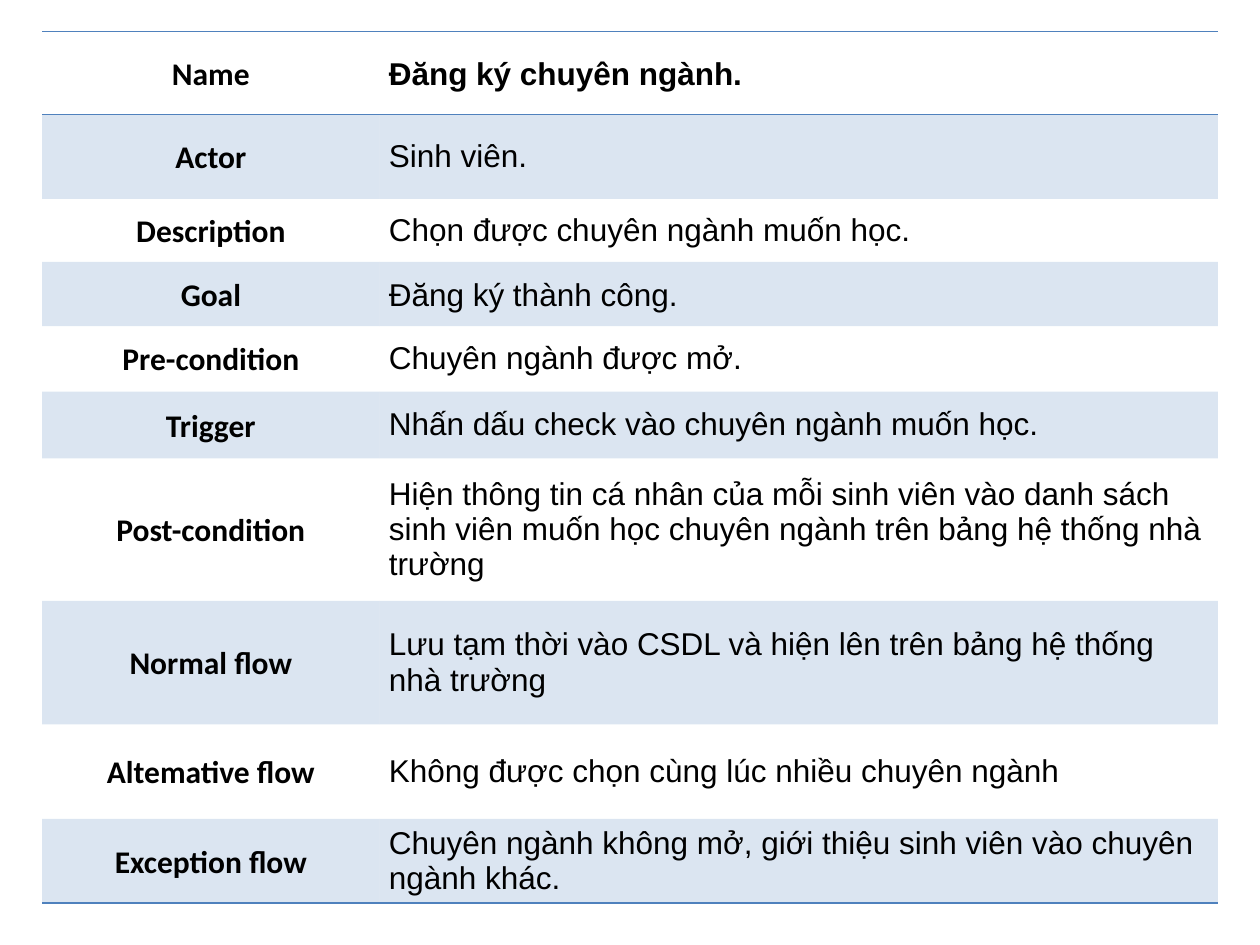
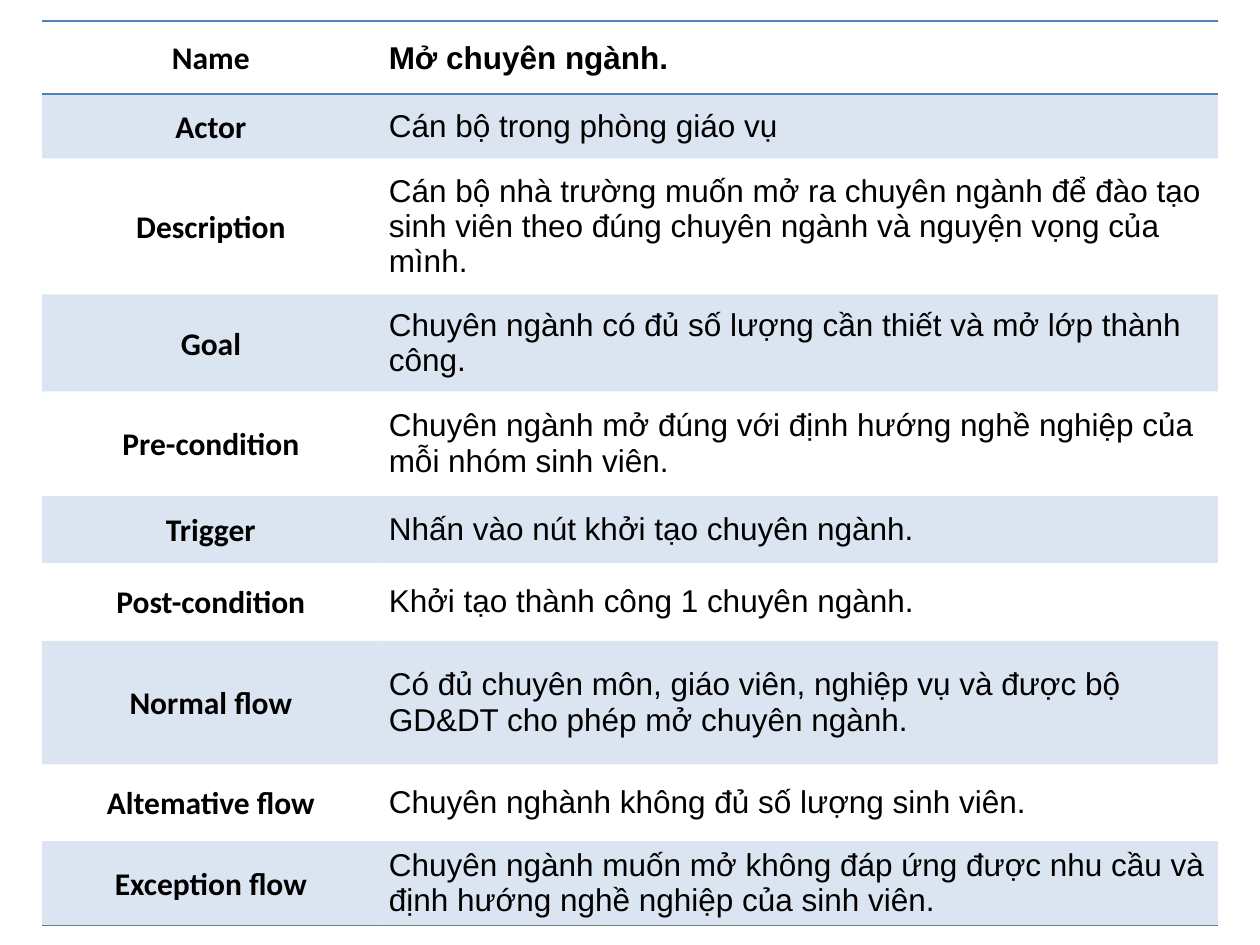
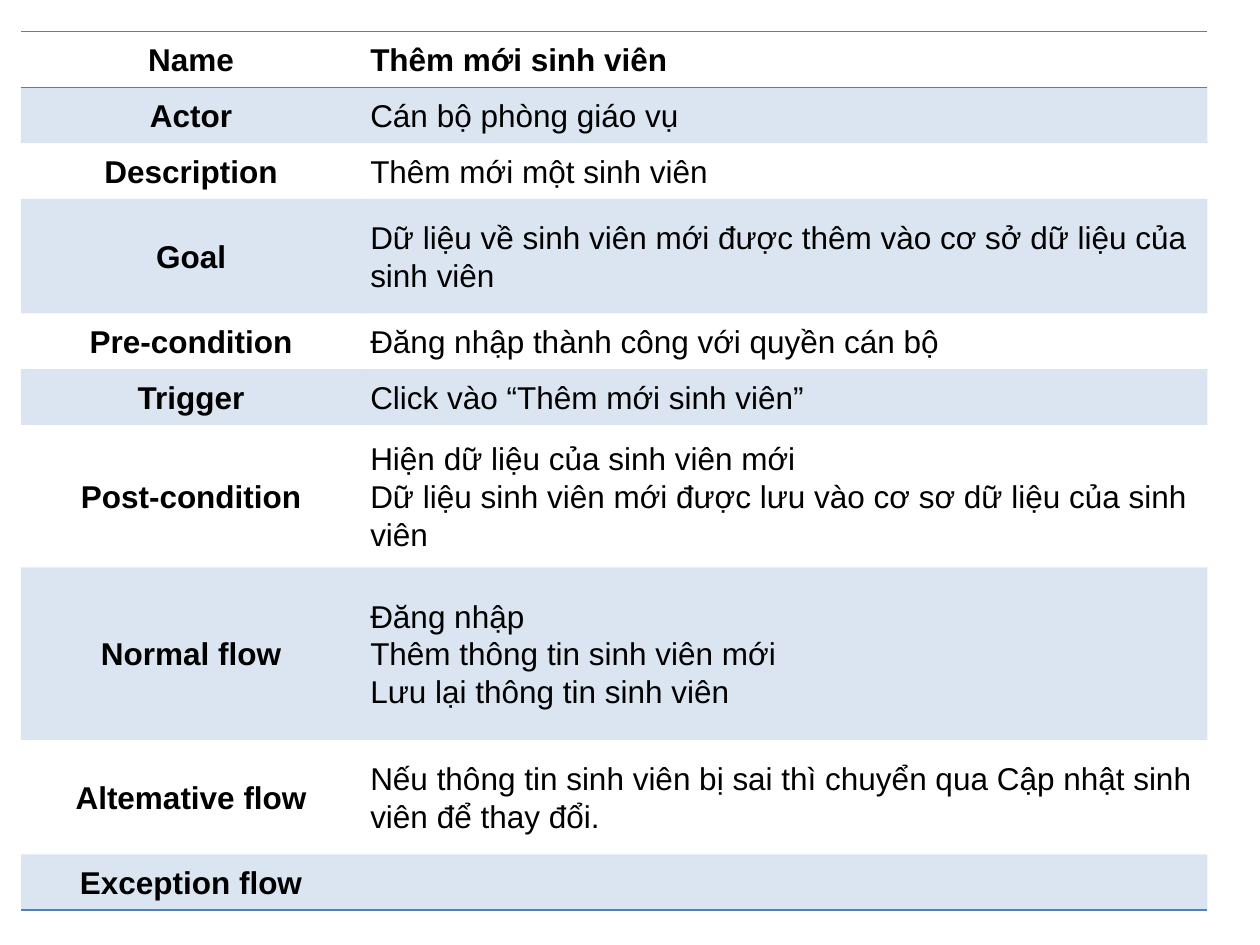
from lxml import etree
from pptx import Presentation
from pptx.dml.color import RGBColor
from pptx.enum import text
from pptx.oxml import ns
from pptx.util import Pt

COLOURS = {"accent": "4F81BD", "ink": "000000"}
PLAIN_TABLE = "{2D5ABB26-0587-4C30-8999-92F81FD0307C}"
LABELS = ["Name", "Actor", "Description", "Goal", "Pre-condition", "Trigger",
          "Post-condition", "Normal flow", "Altemative flow", "Exception flow"]
ALL_ROWS = set(range(len(LABELS)))

USE_CASES = [
    {
        "corner": (24, 18), "columns": (193, 479), "label_font": "Calibri", "loose_rows": {0, 3},
        "heights": [47.5, 48.2, 36, 36.7, 37.4, 38.2, 81.4, 70.6, 54, 48.2],
        "details": [
            "Đăng ký chuyên ngành.",
            "Sinh viên.",
            "Chọn được chuyên ngành muốn học.",
            "Đăng ký thành công.",
            "Chuyên ngành được mở.",
            "Nhấn dấu check vào chuyên ngành muốn học.",
            "Hiện thông tin cá nhân của mỗi sinh viên vào danh sách sinh viên muốn học "
            "chuyên ngành trên bảng hệ thống nhà trường",
            "Lưu tạm thời vào CSDL và hiện lên trên bảng hệ thống nhà trường",
            "Không được chọn cùng lúc nhiều chuyên ngành",
            "Chuyên ngành không mở, giới thiệu sinh viên vào chuyên ngành khác.",
        ],
    },
    {
        "corner": (24, 12), "columns": (193, 479), "label_font": "Calibri", "loose_rows": {0},
        "heights": [41.8, 36.7, 77.8, 55.4, 59.8, 38.2, 44.6, 70.6, 43.9, 48.2],
        "details": [
            "Mở chuyên ngành.",
            "Cán bộ trong phòng giáo vụ",
            "Cán bộ nhà trường muốn mở ra chuyên ngành để đào tạo sinh viên theo đúng "
            "chuyên ngành và nguyện vọng của mình.",
            "Chuyên ngành có đủ số lượng cần thiết và mở lớp thành công.",
            "Chuyên ngành mở đúng với định hướng nghề nghiệp của mỗi nhóm sinh viên.",
            "Nhấn vào nút khởi tạo chuyên ngành.",
            "Khởi tạo thành công 1 chuyên ngành.",
            "Có đủ chuyên môn, giáo viên, nghiệp vụ và được bộ GD&DT cho phép mở "
            "chuyên ngành.",
            "Chuyên nghành không đủ số lượng sinh viên.",
            "Chuyên ngành muốn mở không đáp ứng được nhu cầu và định hướng nghề nghiệp "
            "của sinh viên.",
        ],
    },
    {
        "corner": (12, 18), "columns": (194.4, 483.6), "label_font": "Arial", "loose_rows": ALL_ROWS,
        "heights": [31.9, 31.9, 31.9, 65.4, 31.9, 31.9, 81.4, 98.6, 65.4, 31.9],
        "details": [
            "Thêm mới sinh viên",
            "Cán bộ phòng giáo vụ",
            "Thêm mới một sinh viên",
            "Dữ liệu về sinh viên mới được thêm vào cơ sở dữ liệu của sinh viên",
            "Đăng nhập thành công với quyền cán bộ",
            "Click vào “Thêm mới sinh viên”",
            "Hiện dữ liệu của sinh viên mới\n"
            "Dữ liệu sinh viên mới được lưu vào cơ sơ dữ liệu của sinh viên",
            "Đăng nhập\nThêm thông tin sinh viên mới\nLưu lại thông tin sinh viên",
            "Nếu thông tin sinh viên bị sai thì chuyển qua Cập nhật sinh viên để thay đổi.",
            "",
        ],
    },
]


class UseCaseDeck:
    detail_font = "Arial"
    text_size = Pt(18)
    loose_spacing = 1.07
    side_margin = Pt(5.2)
    rule_width = Pt(1)
    band_opacity = 20000

    def __init__(self):
        self.deck = Presentation()
        self.deck.slide_width, self.deck.slide_height = Pt(720), Pt(540)
        self.slide = None

    def new_slide(self):
        self.slide = self.deck.slides.add_slide(self.deck.slide_layouts[6])

    def rule(self, cell, side):
        line = etree.SubElement(cell._tc.get_or_add_tcPr(), ns.qn(f"a:ln{side}"),
                                w=str(self.rule_width))
        fill = etree.SubElement(line, ns.qn("a:solidFill"))
        etree.SubElement(fill, ns.qn("a:srgbClr"), val=COLOURS["accent"])

    def band(self, cell):
        cell.fill.solid()
        cell.fill.fore_color.rgb = RGBColor.from_string(COLOURS["accent"])
        tint = cell._tc.tcPr.find(ns.qn("a:solidFill"))[0]
        etree.SubElement(tint, ns.qn("a:alpha"), val=str(self.band_opacity))

    def cell_text(self, cell, wording, font, bold, spacing, align):
        cell.vertical_anchor = text.MSO_ANCHOR.MIDDLE
        cell.margin_left = cell.margin_right = self.side_margin
        cell.margin_top = cell.margin_bottom = Pt(0)
        cell.text_frame.text = wording
        for paragraph in cell.text_frame.paragraphs:
            paragraph.alignment = align
            paragraph.line_spacing = spacing
            for run in paragraph.runs:
                run.font.name = font
                run.font.size = self.text_size
                run.font.bold = bold
                run.font.color.rgb = RGBColor.from_string(COLOURS["ink"])

    def use_case_table(self, corner, columns, label_font, loose_rows, heights, details):
        left, top = corner
        table = self.slide.shapes.add_table(
            len(LABELS), len(columns), Pt(left), Pt(top),
            Pt(sum(columns)), Pt(sum(heights))).table
        table._tbl.tblPr.find(ns.qn("a:tableStyleId")).text = PLAIN_TABLE
        for column, width in zip(table.columns, columns):
            column.width = Pt(width)
        last = len(LABELS) - 1
        for index, (label, detail, height) in enumerate(zip(LABELS, details, heights)):
            table.rows[index].height = Pt(height)
            label_cell, detail_cell = table.rows[index].cells
            self.cell_text(label_cell, label, label_font, True, self.loose_spacing,
                           text.PP_ALIGN.CENTER)
            self.cell_text(detail_cell, detail, self.detail_font, index == 0,
                           self.loose_spacing if index in loose_rows else 1.0,
                           text.PP_ALIGN.LEFT)
            for cell in (label_cell, detail_cell):
                if index == 0:
                    self.rule(cell, "T")
                if index in (0, last):
                    self.rule(cell, "B")
                if index % 2:
                    self.band(cell)
                else:
                    cell.fill.background()


def main():
    use_case_deck = UseCaseDeck()
    for use_case in USE_CASES:
        use_case_deck.new_slide()
        use_case_deck.use_case_table(**use_case)
    use_case_deck.deck.save("out.pptx")


if __name__ == "__main__":
    main()
